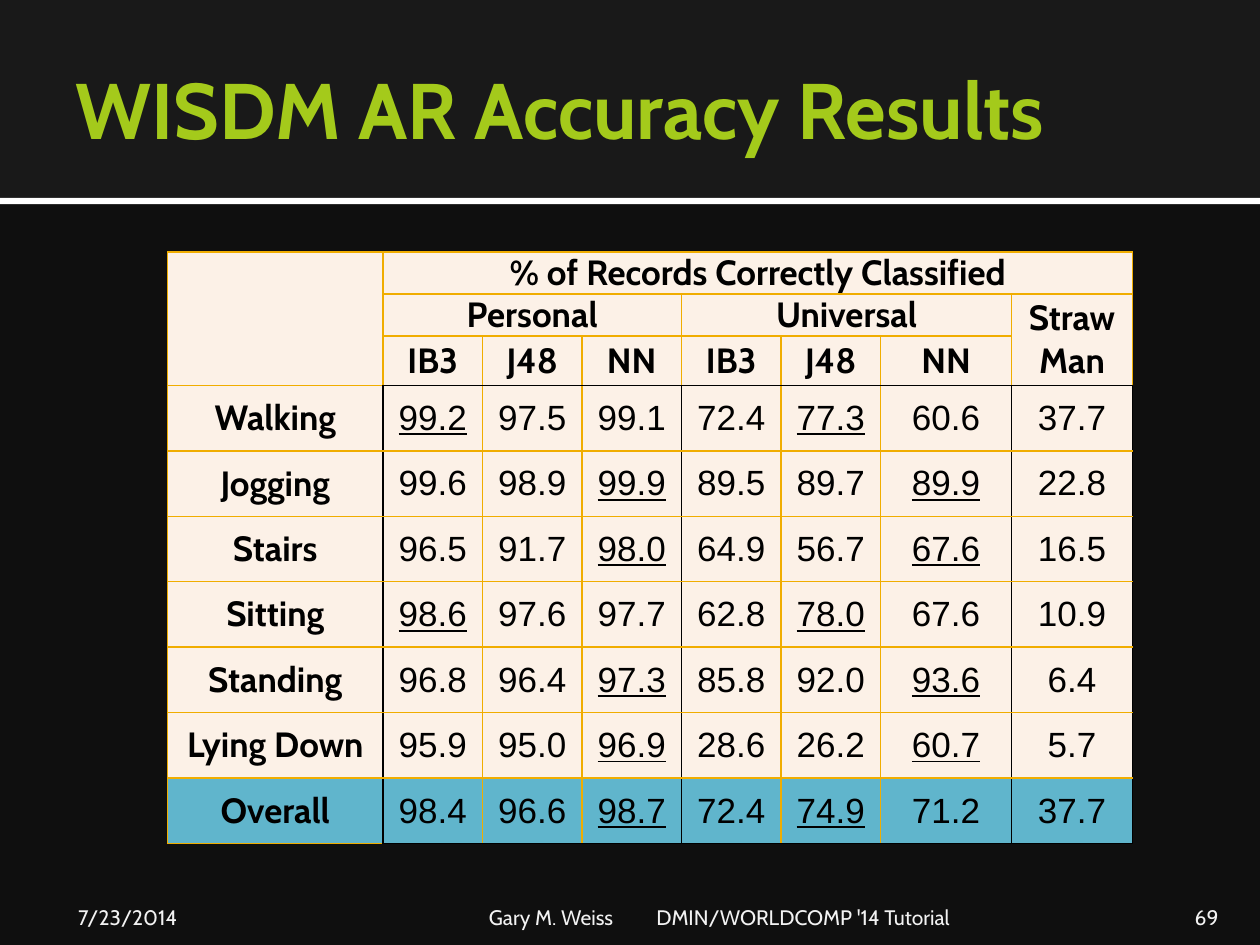
import pptx
import pptx.dml.color
import pptx.enum.shapes
import pptx.enum.text
import pptx.oxml
import pptx.oxml.ns
import pptx.util
import lxml.etree

WIDTH, HEIGHT = pptx.util.Inches(10), pptx.util.Inches(7.5)
ALIGN = pptx.enum.text.PP_ALIGN
ANCHOR = pptx.enum.text.MSO_ANCHOR
GOLD, BLACK, CREAM, BLUE = "F0AD00", "000000", "FCF1E7", "60B5CC"

COLUMNS = [1.71] + [0.79] * 5 + [1.04, 0.96]
ROWS = [0.33, 0.33, 0.39] + [0.52] * 7
HEADER_ROWS = 3
GROUPS = [(1, 4), (4, 7)]
GROUP_EDGES = (1, 4, 7, 8)
SPANS = [
    (0, 0, 2, 0, ""),
    (0, 1, 0, 7, "% of Records Correctly Classified"),
    (1, 1, 1, 3, "Personal"),
    (1, 4, 1, 6, "Universal"),
    (1, 7, 2, 7, "Straw Man"),
]
METHODS = ["IB3", "J48", "NN"] * 2
RESULTS = [
    ("Walking", 99.2, 97.5, 99.1, 72.4, 77.3, 60.6, 37.7),
    ("Jogging", 99.6, 98.9, 99.9, 89.5, 89.7, 89.9, 22.8),
    ("Stairs", 96.5, 91.7, 98.0, 64.9, 56.7, 67.6, 16.5),
    ("Sitting", 98.6, 97.6, 97.7, 62.8, 78.0, 67.6, 10.9),
    ("Standing", 96.8, 96.4, 97.3, 85.8, 92.0, 93.6, 6.4),
    ("Lying Down", 95.9, 95.0, 96.9, 28.6, 26.2, 60.7, 5.7),
    ("Overall", 98.4, 96.6, 98.7, 72.4, 74.9, 71.2, 37.7),
]


def rgb(value):
    return pptx.dml.color.RGBColor.from_string(value)


def area(x, y, w, h):
    return (int(WIDTH * x / 100), int(HEIGHT * y / 100),
            int(WIDTH * w / 100), int(HEIGHT * h / 100))


def style_font(font, size, color, name="Cabin", bold=False, underline=False):
    font.size = pptx.util.Pt(size)
    font.name = name
    font.bold = bold
    font.underline = underline
    font.color.rgb = rgb(color)


def add_band(s, place, color):
    sp = s.shapes.add_shape(pptx.enum.shapes.MSO_SHAPE.RECTANGLE, *area(*place))
    sp.shadow.inherit = False
    sp.fill.solid()
    sp.fill.fore_color.rgb = rgb(color)
    sp.line.fill.background()


def add_text(s, place, text, size, color, insets, anchor, bold=False,
             align=ALIGN.LEFT, tab=None):
    tf = s.shapes.add_textbox(*area(*place)).text_frame
    tf.word_wrap = True
    tf.vertical_anchor = anchor
    tf.margin_left, tf.margin_top, tf.margin_right, tf.margin_bottom = map(
        pptx.util.Inches, insets)
    p = tf.paragraphs[0]
    p.text = text
    p.alignment = align
    if tab:
        stops = lxml.etree.SubElement(p._p.get_or_add_pPr(), pptx.oxml.ns.qn("a:tabLst"))
        lxml.etree.SubElement(stops, pptx.oxml.ns.qn("a:tab"),
                              pos=str(pptx.util.Inches(tab)), algn="l")
    for r in p.runs:
        style_font(r.font, size, color, bold=bold)


def column_edge_color(row, edge):
    return BLACK if row >= HEADER_ROWS and edge in GROUP_EDGES else GOLD


def row_edge_color(edge, col):
    return BLACK if col and edge in (HEADER_ROWS, len(ROWS)) else GOLD


def set_borders(cell, row, col):
    edges = {
        "L": column_edge_color(row, col),
        "R": column_edge_color(row, col + cell.span_width),
        "T": row_edge_color(row, col),
        "B": row_edge_color(row + cell.span_height, col),
    }
    for side, color in edges.items():
        cell._tc.get_or_add_tcPr().append(pptx.oxml.parse_xml(
            f'<a:ln{side} {pptx.oxml.ns.nsdecls("a")} w="12700"><a:solidFill>'
            f'<a:srgbClr val="{color}"/></a:solidFill></a:ln{side}>'))


def style_cell(cell, row, col, best):
    set_borders(cell, row, col)
    cell.fill.solid()
    cell.fill.fore_color.rgb = rgb(BLUE if row == len(ROWS) - 1 else CREAM)
    cell.margin_left = cell.margin_right = pptx.util.Inches(0.04)
    cell.margin_top = cell.margin_bottom = 0
    cell.vertical_anchor = ANCHOR.MIDDLE if row else ANCHOR.TOP
    heading = row < HEADER_ROWS or col == 0
    p = cell.text_frame.paragraphs[0]
    p.alignment = ALIGN.CENTER
    for r in p.runs:
        style_font(r.font, 20, BLACK, "Cabin" if heading else "Arial", heading, best)


def is_best(row, col):
    if row < HEADER_ROWS:
        return False
    result = RESULTS[row - HEADER_ROWS]
    return any(start <= col < end and result[col] == max(result[start:end])
               for start, end in GROUPS)


def add_results(s):
    table = s.shapes.add_table(len(ROWS), len(COLUMNS),
                               *area(13.3, 26.67, 76.6, 62.4)).table
    table.first_row = table.horz_banding = False
    for column, width in zip(table.columns, COLUMNS):
        column.width = pptx.util.Inches(width)
    for row, height in zip(table.rows, ROWS):
        row.height = pptx.util.Inches(height)
    for top, left, bottom, right, text in SPANS:
        table.cell(top, left).merge(table.cell(bottom, right))
        table.cell(top, left).text = text
    for col, method in enumerate(METHODS, 1):
        table.cell(HEADER_ROWS - 1, col).text = method
    for row, result in enumerate(RESULTS, HEADER_ROWS):
        for col, value in enumerate(result):
            table.cell(row, col).text = str(value)
    for row in range(len(ROWS)):
        for col in range(len(COLUMNS)):
            cell = table.cell(row, col)
            if not cell.is_spanned:
                if not cell.is_merge_origin:
                    assert cell.span_width == cell.span_height == 1
                style_cell(cell, row, col, is_best(row, col))


def add_footer(s, x, w, text, left, right, **options):
    add_text(s, (x, 94.4, w, 4), text, 12, "F2F2F2",
             (left, 0.05, right, 0), ANCHOR.BOTTOM, **options)


def main():
    prs = pptx.Presentation()
    prs.slide_width, prs.slide_height = WIDTH, HEIGHT
    s = prs.slides.add_slide(prs.slide_layouts[6])
    s.background.fill.solid()
    s.background.fill.fore_color.rgb = rgb("0F0F0F")
    add_band(s, (0, 20.93, 100, 0.67), "FFFFFF")
    add_band(s, (0, 0, 100, 20.93), "191919")
    add_text(s, (5, 2.27, 90, 18.27), "WISDM AR Accuracy Results", 45, "A4CA1B",
             (0.1, 0.05, 0.05, 0.05), ANCHOR.MIDDLE, bold=True)
    add_results(s)
    add_footer(s, 5, 23.3, "7/23/2014", 0.12, 0.05)
    add_footer(s, 38.3, 50.8, "Gary M. Weiss\tDMIN/WORLDCOMP '14 Tutorial",
               0.05, 0.05, tab=1.33)
    add_footer(s, 89.7, 8, "69", 0.1, 0.1, align=ALIGN.RIGHT)
    prs.save("out.pptx")


if __name__ == "__main__":
    main()
